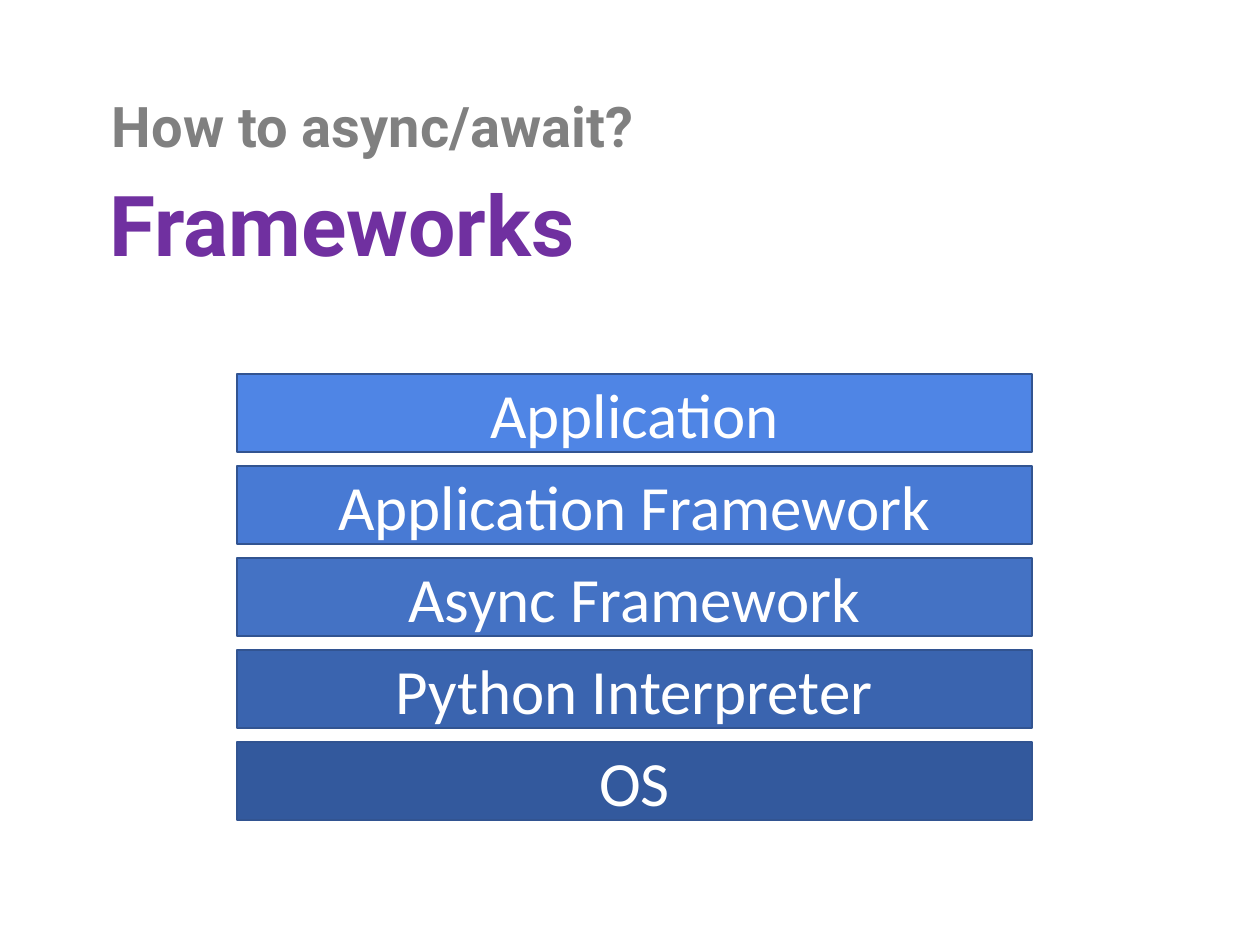
from dataclasses import dataclass

from pptx import Presentation
from pptx import util as u
from pptx.dml.color import RGBColor
from pptx.enum import shapes, text

COLORS = {
    "subtitle": "808080",
    "title": "7030A0",
    "label": "FFFFFF",
    "outline": "325491",
    "application": "4F85E5",
    "application_framework": "487AD4",
    "async_framework": "4472C4",
    "interpreter": "3A64AF",
    "os": "33599D",
}
LAYER_LEFT, LAYER_TOP = 1.88, 2.97
LAYER_WIDTH, LAYER_HEIGHT = 6.31, 0.62
LAYER_PITCH = 0.73


@dataclass
class Heading:
    words: str
    left: float
    top: float
    width: float
    height: float
    size: int
    color: str


@dataclass
class Layer:
    name: str
    color: str


HEADINGS = [
    Heading("How to async/await?", 0.79, 0.68, 8.27, 0.64, 32, "subtitle"),
    Heading("Frameworks", 0.77, 1.32, 6.94, 0.91, 48, "title"),
]
LAYERS = [
    Layer("Application", "application"),
    Layer("Application Framework", "application_framework"),
    Layer("Async Framework", "async_framework"),
    Layer("Python Interpreter", "interpreter"),
    Layer("OS", "os"),
]


def rgb(name: str) -> RGBColor:
    return RGBColor.from_string(COLORS[name])


def write(shape, words: str, font: str, size: int, color: str, bold: bool = False):
    shape.text_frame.word_wrap = True
    paragraph = shape.text_frame.paragraphs[0]
    paragraph.text = words
    paragraph.font.name = font
    paragraph.font.size = u.Pt(size)
    paragraph.font.bold = bold
    paragraph.font.color.rgb = rgb(color)
    return paragraph


def draw_heading(slide, heading: Heading) -> None:
    box = slide.shapes.add_textbox(
        u.Inches(heading.left), u.Inches(heading.top),
        u.Inches(heading.width), u.Inches(heading.height),
    )
    write(box, heading.words, "Roboto", heading.size, heading.color, bold=True)
    box.text_frame.auto_size = text.MSO_AUTO_SIZE.SHAPE_TO_FIT_TEXT


def draw_layer(slide, layer: Layer, row: int) -> None:
    shape = slide.shapes.add_shape(
        shapes.MSO_SHAPE.RECTANGLE,
        u.Inches(LAYER_LEFT), u.Inches(LAYER_TOP + row * LAYER_PITCH),
        u.Inches(LAYER_WIDTH), u.Inches(LAYER_HEIGHT),
    )
    shape.shadow.inherit = False
    shape.fill.solid()
    shape.fill.fore_color.rgb = rgb(layer.color)
    shape.line.color.rgb = rgb("outline")
    shape.line.width = u.Pt(1)
    shape.text_frame.vertical_anchor = text.MSO_ANCHOR.MIDDLE
    paragraph = write(shape, layer.name, "Calibri", 36, "label")
    paragraph.alignment = text.PP_ALIGN.CENTER


def main() -> None:
    presentation = Presentation()
    presentation.slide_width = u.Inches(10)
    presentation.slide_height = u.Inches(7.5)
    slide = presentation.slides.add_slide(presentation.slide_layouts[6])
    for heading in HEADINGS:
        draw_heading(slide, heading)
    for row, layer in reversed(list(enumerate(LAYERS))):
        draw_layer(slide, layer, row)
    presentation.save("out.pptx")


if __name__ == "__main__":
    main()
